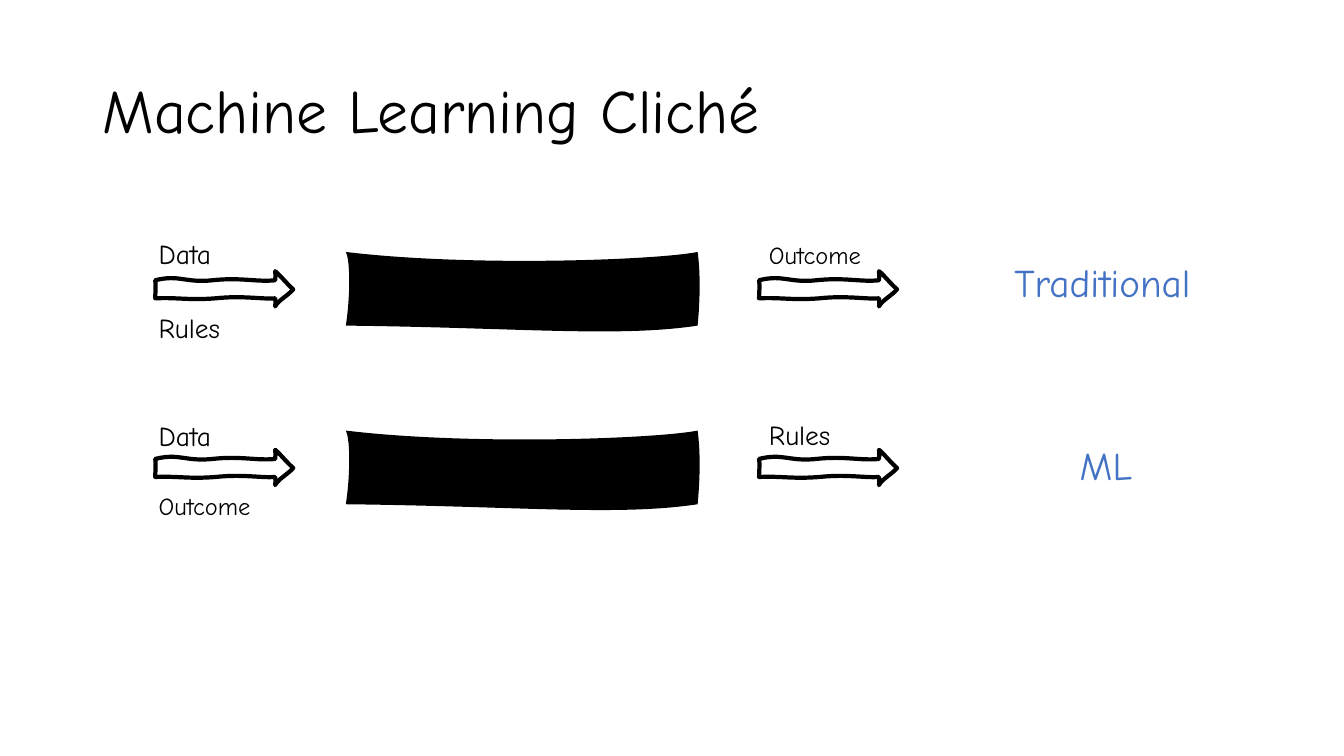
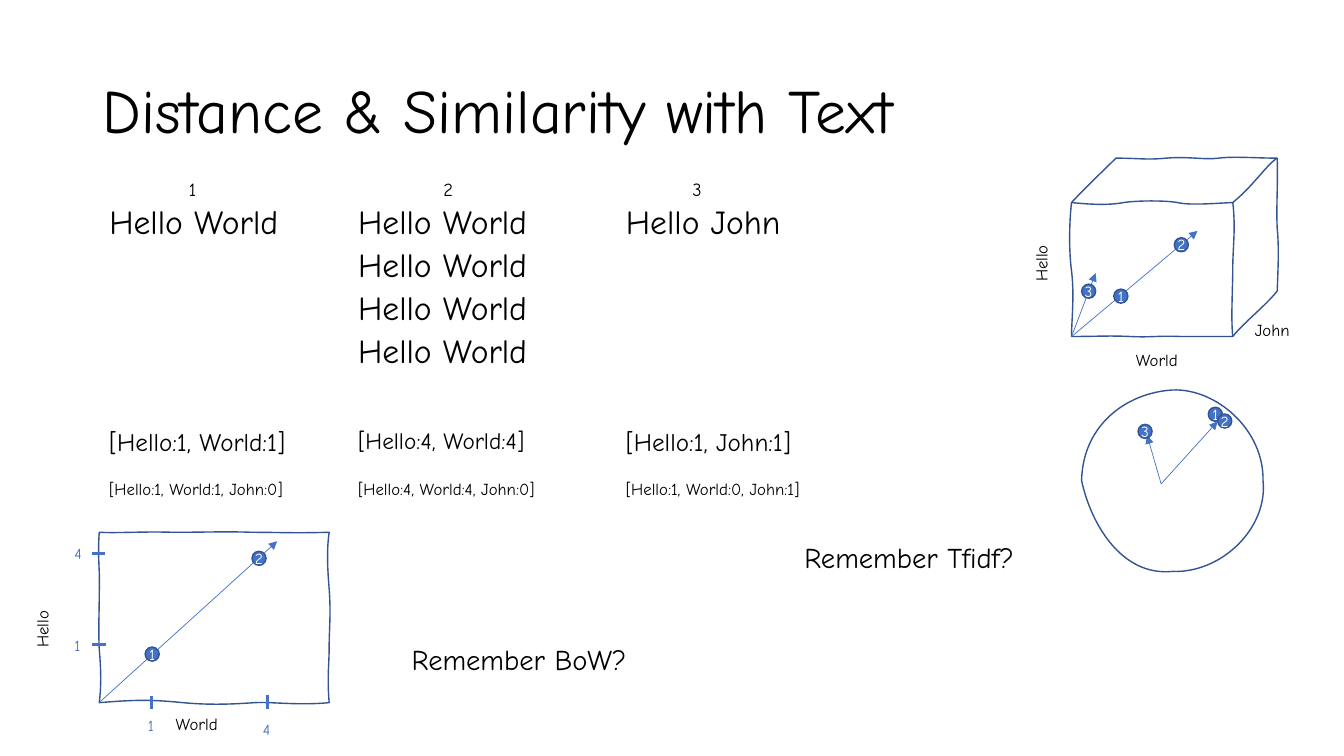
import lxml.etree
import pptx
import pptx.dml.color
import pptx.enum.shapes
import pptx.enum.text
import pptx.oxml.ns
import pptx.util

Pt = pptx.util.Pt
RGBColor = pptx.dml.color.RGBColor
ALIGN = pptx.enum.text.PP_ALIGN
ANCHOR = pptx.enum.text.MSO_ANCHOR
qn = pptx.oxml.ns.qn

FONT = "Comic Neue"
BLACK = RGBColor(0x00, 0x00, 0x00)
WHITE = RGBColor(0xFF, 0xFF, 0xFF)
BLUE = RGBColor(0x44, 0x72, 0xC4)
DARK_BLUE = RGBColor(0x32, 0x54, 0x91)
TITLE_BOX = (66, 28.8, 828, 104.4)

# Hand-drawn outlines: a start point, then two controls and an end per curve.
BAND = [(0, 0), (90, 10.8), (221.8, 5.8), (251.3, 0),
        (254.2, 20.9), (252, 45.4), (251.3, 52.6),
        (194.4, 61.2), (123.1, 54), (0, 52.6),
        (2.9, 34.6), (3.6, 7.2), (0, 0)]
ARROW = [(0, 6.5), (17.3, 2.2), (21.6, 8.6), (41, 6.5),
         (61.2, 4.3), (72.7, 7.9), (85.7, 6.5),
         (85.7, 4.3), (86.4, 2.2), (85.7, 0),
         (89.3, 2.9), (93.6, 8.6), (98.6, 13),
         (95, 17.3), (87.8, 20.9), (85.7, 25.2),
         (85.7, 23), (86.4, 21.6), (85.7, 19.4),
         (76.3, 20.2), (62.6, 17.3), (43.2, 19.4),
         (23.8, 20.9), (16.6, 18.7), (0, 19.4),
         (0, 16.6), (0.7, 9.4), (0, 6.5)]
PLOT = [(0, 0), (13.7, 0.7), (31, -0.7), (53.3, 0),
        (75.6, 0), (90, -0.7), (109.4, 0),
        (128.9, 0), (138.2, 0.7), (164.2, 0),
        (162.7, 10.8), (162.7, 22.3), (164.2, 40.3),
        (165.6, 58.3), (164.2, 69.1), (164.2, 82.1),
        (164.2, 95), (162.7, 103), (164.2, 121.7),
        (142.6, 123.8), (122.4, 121), (110.9, 121.7),
        (100, 122.4), (82, 123.8), (59.8, 121.7),
        (37.4, 119.5), (26.6, 119.5), (0, 121.7),
        (1.4, 110.2), (1.4, 99.4), (0, 83.5),
        (-0.7, 67), (0, 59.8), (0, 42.5),
        (0.7, 25.9), (-1.4, 19.4), (0, 0)]
CIRCLE = [(0, 64.8), (0.7, 25.9), (31, 2.2), (64.8, 0),
          (95.8, -1.4), (130.3, 28.1), (129.6, 64.8),
          (133.2, 98.6), (100, 131), (64.8, 129.6),
          (28.1, 133.2), (6.5, 95), (0, 64.8)]
CUBE = [(0, 31.7), (9.4, 21.6), (22.3, 9.4), (31.7, 0),
        (49, 0), (52.6, 1.4), (67.7, 0),
        (83.5, -1.4), (95, 1.4), (105.1, 0),
        (115.9, -1.4), (132.5, 0), (146.9, 0),
        (147.6, 15.1), (146.2, 35.3), (146.9, 49.7),
        (148.3, 64.1), (147.6, 77.8), (146.9, 95),
        (138.2, 105.8), (123.1, 117.4), (115.2, 127.4),
        (108, 127.4), (95, 127.4), (77.8, 127.4),
        (61.2, 126.7), (57.6, 128.2), (41.8, 127.4),
        (26.6, 126.7), (18, 127.4), (0, 127.4),
        (0, 116.6), (2.2, 97.9), (0, 80.6),
        (-2.2, 63.4), (-1.4, 43.9), (0, 31.7)]
CUBE_TOP_EDGE = [(0, 31.7), (13, 33.1), (26.6, 33.8), (37.4, 31.7),
                 (47.5, 30.2), (67, 30.2), (75.6, 31.7),
                 (84.2, 33.8), (101.5, 32.4), (115.2, 31.7),
                 (130.3, 19.4), (139, 5), (146.9, 0)]
CUBE_SIDE_EDGE = [(115.2, 31.7), (117.4, 49.7), (115.2, 64.1), (115.2, 78.5),
                  (115.2, 92.9), (113.8, 114.5), (115.2, 127.4)]


def text(sl, s, x, y, w, h, sp=None, size=12, color=BLACK, spacing=0.9,
         before=10, align=ALIGN.LEFT, anchor=ANCHOR.TOP, wrap=True, rotation=0):
    """Write s into sp, or into a new text box, placed at x, y, w, h."""
    sp = sp or sl.shapes.add_textbox(0, 0, 0, 0)
    sp.left, sp.top, sp.width, sp.height = Pt(x), Pt(y), Pt(w), Pt(h)
    sp.rotation = rotation
    tf = sp.text_frame
    tf.auto_size = pptx.enum.text.MSO_AUTO_SIZE.NONE
    tf.word_wrap = wrap
    tf.vertical_anchor = anchor
    p = tf.paragraphs[0]
    p.alignment = align
    p.line_spacing = spacing
    p.space_before = Pt(before)
    if sp.is_placeholder:
        pPr = p._p.get_or_add_pPr()
        pPr.set("marL", "0")
        pPr.set("indent", "0")
        lxml.etree.SubElement(pPr, qn("a:buNone"))
    r = p.add_run()
    r.text = s
    r.font.name = FONT
    r.font.size = Pt(size)
    r.font.color.rgb = color


def sketch(sl, x, y, *contours, fill=None, line=None, width=1):
    """Draw contours of cubic curves as one freeform with its origin at x, y."""
    contours = [[(Pt(x + px), Pt(y + py)) for px, py in pts] for pts in contours]
    builder = sl.shapes.build_freeform(*contours[0][0])
    for i, pts in enumerate(contours):
        if i:
            builder.move_to(*pts[0])
        builder.add_line_segments(pts[3::3], close=pts[0] == pts[-1])
    sp = builder.convert_to_shape()
    # Turn each straight segment into a curve by adding its two controls.
    curves = [pts[i:i + 3] for pts in contours for i in range(1, len(pts), 3)]
    segments = list(sp._element.iter(qn("a:lnTo")))
    for segment, curve in zip(segments, curves):
        segment.tag = qn("a:cubicBezTo")
        for i, (px, py) in enumerate(curve[:2]):
            pt = segment.makeelement(qn("a:pt"), {"x": str(px - sp.left),
                                                  "y": str(py - sp.top)})
            segment.insert(i, pt)
    sp.shadow.inherit = False
    for part, color in ((sp.fill, fill), (sp.line.fill, line)):
        if color is None:
            part.background()
        else:
            part.solid()
            part.fore_color.rgb = color
    if line is not None:
        sp.line.width = Pt(width)


prs = pptx.Presentation()
prs.slide_width, prs.slide_height = Pt(960), Pt(540)
cliche = prs.slides.add_slide(prs.slide_layouts[5])
similarity = prs.slides.add_slide(prs.slide_layouts[1])
for sl, title in ((cliche, "Machine Learning Cliché"),
                  (similarity, "Distance & Similarity with Text")):
    text(sl, title, *TITLE_BOX, sp=sl.shapes.title, size=44, before=0,
         anchor=ANCHOR.MIDDLE)

# Slide 1: two flows, each with two inputs, a band and one output
flows = [(180, ("Data", 172.1), ("Rules", 225.4), ("Outcome", 173.5),
          ("Traditional", 717.4, 184.6, 169.2)),
         (307.6, ("Data", 302), ("Outcome", 352.8), ("Rules", 301.3),
          ("ML", 764.2, 315.6, 82.1))]
for top, above, below, output, (name, name_x, name_y, name_w) in flows:
    sketch(cliche, 247, top, BAND, fill=BLACK)
    for x in (110.9, 542.2):
        sketch(cliche, x, top + 13.7, ARROW, line=BLACK, width=3)
    for x, (label, y) in ((106.2, above), (106.2, below), (542.2, output)):
        text(cliche, label, x, y, 93.6, 25.2, spacing=0.7,
             size=17.5 if label == "Outcome" else 19.6)
    text(cliche, name, name_x, name_y, name_w, 41.8, size=28, color=BLUE)

# Slide 2: three documents as text, as counts and as full vectors
sl = similarity
documents = [
    (70.9, 127.8, "1", "Hello World", 1, "[Hello:1, World:1]", 18,
     "[Hello:1, World:1, John:0]"),
    (248.7, 309.6, "2", "Hello World", 4, "[Hello:4, World:4]", 16.6,
     "[Hello:4, World:4, John:0]"),
    (440, 487.4, "3", "Hello John", 1, "[Hello:1, John:1]", 18,
     "[Hello:1, World:0, John:1]")]
body = sl.placeholders[1]
for x, number_x, number, words, repeats, counts, size, vector in documents:
    text(sl, number, number_x, 128.2, 20.2, 19.4, size=13.2, spacing=0.7)
    for i in range(repeats):
        text(sl, words, x, 145.4 + i * 30.8, 154, 30.8, sp=body, size=24,
             spacing=0.8)
        body = None
    text(sl, counts, x, 303.5, 164.2, 36.7, size=size)
    text(sl, vector, x, 339.8, 164.2, 36.7)

for question, x, y in (("Remember BoW?", 286.9, 459.4),
                       ("Remember Tfidf?", 567.4, 386.6)):
    text(sl, question, x, y, 185.8, 40.3, size=20.4, spacing=0.8)

sketch(sl, 70.9, 380.2, PLOT, line=DARK_BLUE)
sketch(sl, 765.4, 113, CUBE, CUBE_TOP_EDGE, CUBE_SIDE_EDGE, line=DARK_BLUE)
sketch(sl, 772.6, 278.6, CIRCLE, line=DARK_BLUE)

for label, x, y, w, h, rotation, spacing in (
        ("Hello", 15.8, 428, 46.8, 36.7, 270, 0.9),
        ("World", 118.4, 509.4, 51.1, 19.4, 0, 0.8),
        ("Hello", 729.4, 166.7, 46.8, 36.7, 270, 0.9),
        ("World", 804.2, 249.1, 51.1, 19.4, 0, 0.8),
        ("John", 889.2, 226.1, 42.5, 20.2, 0, 0.9)):
    text(sl, label, x, y, w, h, rotation=rotation, spacing=spacing)
for label, x, y, w in (("4", 46.1, 385.2, 21.6), ("1", 46.1, 450.7, 19.4),
                       ("1", 98.6, 508.3, 19.4), ("4", 180.7, 510.5, 21.6)):
    text(sl, label, x, y, w, 20.9, size=11, color=BLUE, spacing=1, before=0,
         wrap=False)

ticks = [(66, 460.4, 75.6, 460.4), (65.5, 395.3, 75.1, 395.3),
         (108.4, 496.8, 108.4, 506.2), (191.2, 496.1, 191.2, 506.2)]
vectors = [(70.9, 501.8, 198, 386.6),
           (765.4, 240.5, 782.6, 195.1), (765.4, 240.5, 855.4, 164.9),
           (829.4, 345.6, 869.8, 301), (829.4, 345.6, 819.4, 311)]
for ends in ticks + vectors:
    cn = sl.shapes.add_connector(pptx.enum.shapes.MSO_CONNECTOR.STRAIGHT,
                                 *map(Pt, ends))
    cn.line.color.rgb = BLUE
    cn.line.width = Pt(2.25 if ends in ticks else 0.5)
    if ends in vectors:
        lxml.etree.SubElement(cn.line._get_or_add_ln(), qn("a:tailEnd"),
                              type="triangle")
    lxml.etree.SubElement(cn._element.spPr, qn("a:effectLst"))

for number, x, y in (("1", 103.7, 462.2), ("2", 180, 393.8),
                     ("1", 795.6, 206.5), ("2", 838.8, 169.8),
                     ("3", 772.6, 203), ("1", 863.1, 290.9),
                     ("2", 869.8, 295.7), ("3", 812.9, 303.1)):
    dot = sl.shapes.add_shape(pptx.enum.shapes.MSO_SHAPE.OVAL, 0, 0, 0, 0)
    dot.shadow.inherit = False
    dot.fill.solid()
    dot.fill.fore_color.rgb = BLUE
    dot.line.color.rgb = DARK_BLUE
    dot.line.width = Pt(1)
    text(sl, number, x, y, 10.1, 10.1, sp=dot, size=11, color=WHITE, spacing=1,
         before=0, align=ALIGN.CENTER, anchor=ANCHOR.MIDDLE)

prs.save("out.pptx")
